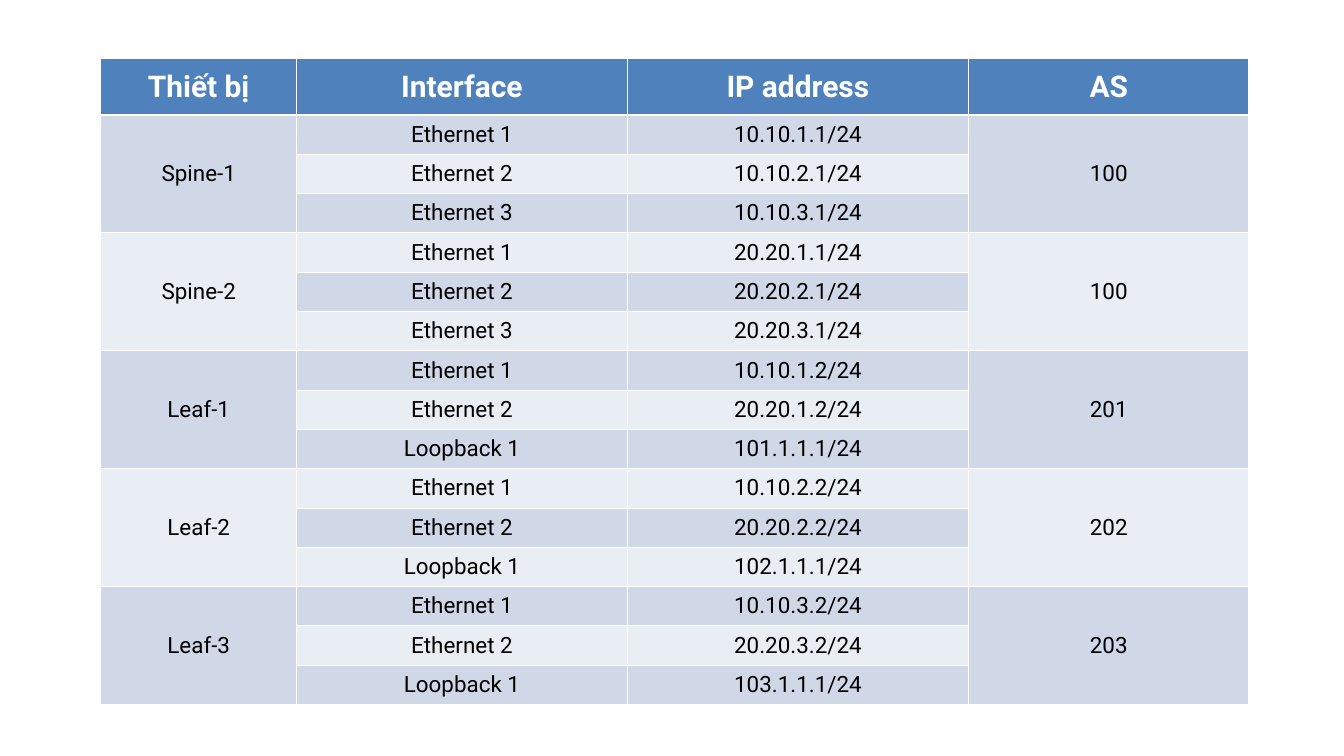
import pptx
import pptx.dml.color
import pptx.enum.text
import pptx.oxml
import pptx.oxml.ns
import pptx.util

Pt = pptx.util.Pt

FONT = "Roboto"
WHITE, BLACK, HEADER_FILL = "FFFFFF", "000000", "4F81BD"
BANDS = ("D0D8E8", "E9EDF4")

LEFT, TOP = 108, 63
COL_WIDTHS = (210, 354, 366, 300)
HEADER_HEIGHT, ROW_HEIGHT = 60, 42.14

HEADERS = ("Thiết bị", "Interface", "IP address", "AS")
SPINE_PORTS = ("Ethernet 1", "Ethernet 2", "Ethernet 3")
LEAF_PORTS = ("Ethernet 1", "Ethernet 2", "Loopback 1")
DEVICES = (
    ("Spine-1", "100", SPINE_PORTS, ("10.10.1.1/24", "10.10.2.1/24", "10.10.3.1/24")),
    ("Spine-2", "100", SPINE_PORTS, ("20.20.1.1/24", "20.20.2.1/24", "20.20.3.1/24")),
    ("Leaf-1", "201", LEAF_PORTS, ("10.10.1.2/24", "20.20.1.2/24", "101.1.1.1/24")),
    ("Leaf-2", "202", LEAF_PORTS, ("10.10.2.2/24", "20.20.2.2/24", "102.1.1.1/24")),
    ("Leaf-3", "203", LEAF_PORTS, ("10.10.3.2/24", "20.20.3.2/24", "103.1.1.1/24")),
)


def rgb(color):
    return pptx.dml.color.RGBColor.from_string(color)


def set_borders(cell, top=1, bottom=1):
    """Draw white cell borders; call before the fill, which must follow them in the XML."""
    tc_pr = cell._tc.get_or_add_tcPr()
    for side, width in (("L", 1), ("R", 1), ("T", top), ("B", bottom)):
        tc_pr.append(pptx.oxml.parse_xml(
            f'<a:ln{side} {pptx.oxml.ns.nsdecls("a")} w="{Pt(width)}">'
            f'<a:solidFill><a:srgbClr val="{WHITE}"/></a:solidFill></a:ln{side}>'))


def style_cell(cell, fill, top=1, bottom=1):
    set_borders(cell, top, bottom)
    cell.fill.solid()
    cell.fill.fore_color.rgb = rgb(fill)
    cell.vertical_anchor = pptx.enum.text.MSO_ANCHOR.MIDDLE


def write_cell(cell, text, size=24, color=BLACK, bold=False):
    p = cell.text_frame.paragraphs[0]
    p.text = text
    p.alignment = pptx.enum.text.PP_ALIGN.CENTER
    p.font.name = FONT
    p.font.size = Pt(size)
    p.font.bold = bold
    p.font.color.rgb = rgb(color)


def add_address_table(slide):
    row_count = 1 + sum(len(ports) for _, _, ports, _ in DEVICES)
    height = HEADER_HEIGHT + (row_count - 1) * ROW_HEIGHT
    table = slide.shapes.add_table(
        row_count, len(COL_WIDTHS), Pt(LEFT), Pt(TOP),
        Pt(sum(COL_WIDTHS)), Pt(height)).table
    for column, width in zip(table.columns, COL_WIDTHS):
        column.width = Pt(width)
    for i, row in enumerate(table.rows):
        row.height = Pt(ROW_HEIGHT if i else HEADER_HEIGHT)
    return table


def fill_header(table):
    for col, text in enumerate(HEADERS):
        cell = table.cell(0, col)
        style_cell(cell, HEADER_FILL, bottom=3)
        write_cell(cell, text, size=32, color=WHITE, bold=True)


def fill_device(table, first, device, as_number, ports, addresses):
    """Fill one device's rows; its name and AS number span all of them."""
    last = first + len(ports) - 1
    for row, (port, address) in enumerate(zip(ports, addresses), first):
        for col in range(len(HEADERS)):
            band_row = row if col in (1, 2) else first
            style_cell(table.cell(row, col), BANDS[(band_row - 1) % 2],
                       top=3 if row == 1 else 1)
        write_cell(table.cell(row, 1), port)
        write_cell(table.cell(row, 2), address)
    for col, text in ((0, device), (3, as_number)):
        table.cell(first, col).merge(table.cell(last, col))
        write_cell(table.cell(first, col), text)


def main():
    prs = pptx.Presentation()
    prs.slide_width, prs.slide_height = Pt(1440), Pt(810)
    slide = prs.slides.add_slide(prs.slide_layouts[6])
    table = add_address_table(slide)
    fill_header(table)
    row = 1
    for device in DEVICES:
        fill_device(table, row, *device)
        row += len(device[2])
    prs.save("out.pptx")


if __name__ == "__main__":
    main()
